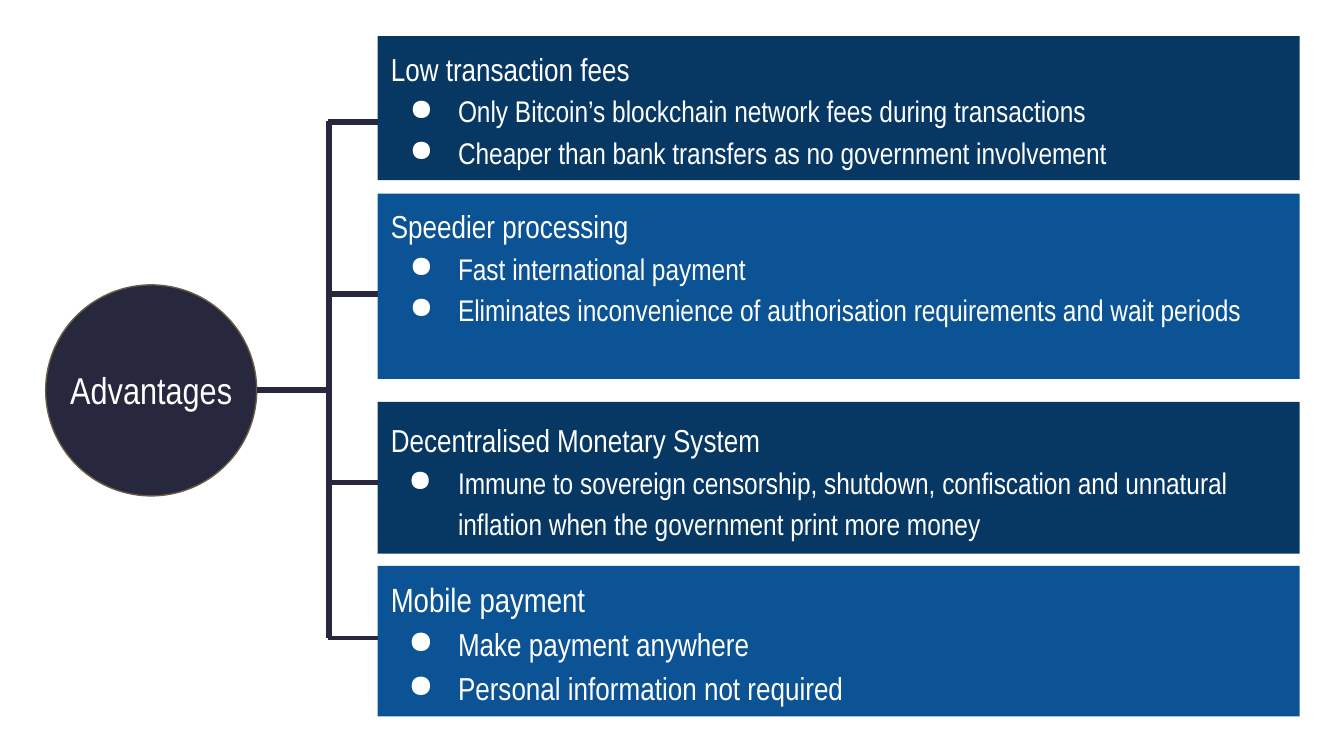
from dataclasses import dataclass

from lxml import etree
from pptx import Presentation
from pptx.dml.color import RGBColor
from pptx.enum import shapes, text
from pptx.oxml.ns import qn
from pptx.util import Inches, Pt

FONT = "Arial Narrow"
WHITE, INK, OLIVE = "FFFFFF", "27283E", "695D46"
NAVY, BLUE = "073763", "0B5394"
BOX_LEFT, BOX_WIDTH = 2.81, 6.86
TRUNK_X = 2.45


@dataclass
class Advantage:
    top: float
    height: float
    fill: str
    heading: str
    points: list[str]
    branch_y: float
    branch_width: float = 3
    size: int = 17
    hang: float = 0.36
    heading_spacing: float = 1.0


ADVANTAGES = [
    Advantage(0.27, 1.07, NAVY, "Low transaction fees",
              ["Only Bitcoin’s blockchain network fees during transactions",
               "Cheaper than bank transfers as no government involvement"], 0.91),
    Advantage(1.44, 1.38, BLUE, "Speedier processing",
              ["Fast international payment",
               "Eliminates inconvenience of authorisation requirements and wait periods"],
              2.19),
    Advantage(2.99, 1.13, NAVY, "Decentralised Monetary System",
              ["Immune to sovereign censorship, shutdown, confiscation and unnatural "
               "inflation when the government print more money"],
              3.59, branch_width=2.25, hang=0.37, heading_spacing=1.15),
    Advantage(4.21, 1.12, BLUE, "Mobile payment",
              ["Make payment anywhere", "Personal information not required"],
              4.75, branch_width=2.25, size=18, hang=0.37),
]


def rgb(value: str) -> RGBColor:
    return RGBColor.from_string(value)


def format_frame(tf, anchor) -> None:
    settings = {"word_wrap": True, "auto_size": text.MSO_AUTO_SIZE.NONE,
                "vertical_anchor": anchor}
    settings |= {f"margin_{side}": Inches(0.1)
                 for side in ("left", "top", "right", "bottom")}
    for name, value in settings.items():
        setattr(tf, name, value)


def format_paragraph(p, size: float, align=text.PP_ALIGN.LEFT, spacing: float = 1.0) -> None:
    for name, value in {"alignment": align, "line_spacing": spacing,
                        "space_before": Pt(0), "space_after": Pt(0)}.items():
        setattr(p, name, value)
    for r in p.runs:
        for name, value in {"name": FONT, "size": Pt(size), "bold": False}.items():
            setattr(r.font, name, value)
        r.font.color.rgb = rgb(WHITE)


def add_bullet(p, hang: float) -> None:
    p_pr = p._p.get_or_add_pPr()
    p_pr.set("marL", str(Inches(0.5)))
    p_pr.set("indent", str(-Inches(hang)))
    color = etree.SubElement(p_pr, qn("a:buClr"))
    etree.SubElement(color, qn("a:srgbClr"), val=WHITE)
    etree.SubElement(p_pr, qn("a:buChar"), char="●")


def add_line(s, x1: float, y1: float, x2: float, y2: float, width: float) -> None:
    line = s.shapes.add_connector(shapes.MSO_CONNECTOR.STRAIGHT,
                                  *map(Inches, (x1, y1, x2, y2)))
    line.line.color.rgb = rgb(INK)
    line.line.width = Pt(width)
    etree.SubElement(line._element.spPr, qn("a:effectLst"))


def add_hub(s) -> None:
    """Draw the circle and set the slide title on top of it."""
    circle = s.shapes.add_shape(shapes.MSO_SHAPE.OVAL,
                                *map(Inches, (0.34, 2.12, 1.57, 1.57)))
    circle.shadow.inherit = False
    circle.fill.solid()
    circle.fill.fore_color.rgb = rgb(INK)
    circle.line.color.rgb = rgb(OLIVE)
    circle.line.width = Pt(0.75)

    title = s.shapes.title
    for name, value in {"left": 0.34, "top": 2.63, "width": 1.57, "height": 0.54}.items():
        setattr(title, name, Inches(value))
    title.text_frame.text = "Advantages"
    format_frame(title.text_frame, text.MSO_ANCHOR.TOP)
    format_paragraph(title.text_frame.paragraphs[0], 20, text.PP_ALIGN.CENTER)
    s.shapes._spTree.append(title._element)  # bring in front of the circle


def add_advantage(s, item: Advantage) -> None:
    add_line(s, TRUNK_X - 0.01, item.branch_y, BOX_LEFT + 0.01, item.branch_y,
             item.branch_width)
    sp = s.shapes.add_shape(shapes.MSO_SHAPE.RECTANGLE,
                            *map(Inches, (BOX_LEFT, item.top, BOX_WIDTH, item.height)))
    sp.shadow.inherit = False
    sp.fill.solid()
    sp.fill.fore_color.rgb = rgb(item.fill)
    sp.line.fill.background()

    tf = sp.text_frame
    format_frame(tf, text.MSO_ANCHOR.TOP)
    tf.text = item.heading
    format_paragraph(tf.paragraphs[0], item.size, spacing=item.heading_spacing)
    for point in item.points:
        p = tf.add_paragraph()
        p.text = point
        format_paragraph(p, item.size - 1, spacing=1.15)
        add_bullet(p, item.hang)


def main() -> None:
    prs = Presentation()
    prs.slide_width = Inches(10)
    prs.slide_height = prs.slide_width * 9 // 16
    s = prs.slides.add_slide(prs.slide_layouts[5])

    add_hub(s)
    add_line(s, 1.91, 2.9, TRUNK_X, 2.9, 3)
    add_line(s, TRUNK_X, 0.9, TRUNK_X, 4.75, 3)
    for item in ADVANTAGES:
        add_advantage(s, item)
    prs.save("out.pptx")


if __name__ == "__main__":
    main()
